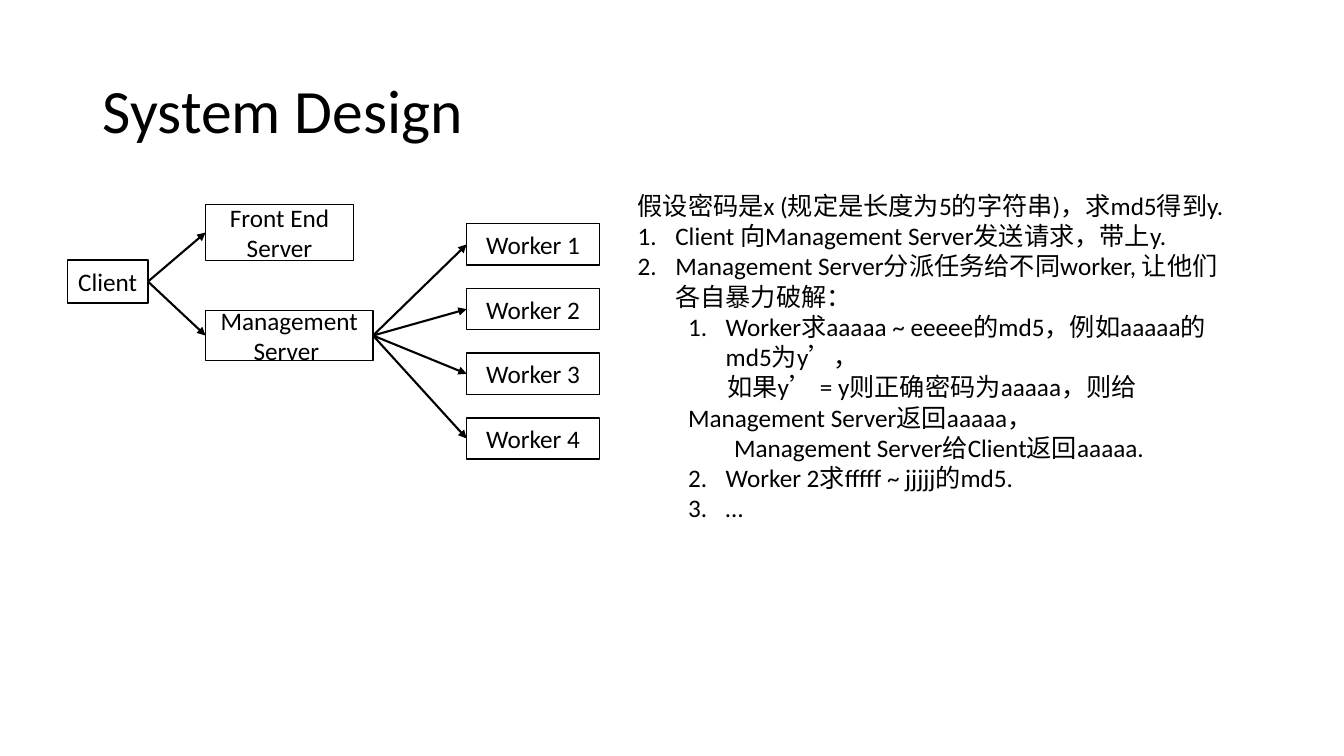
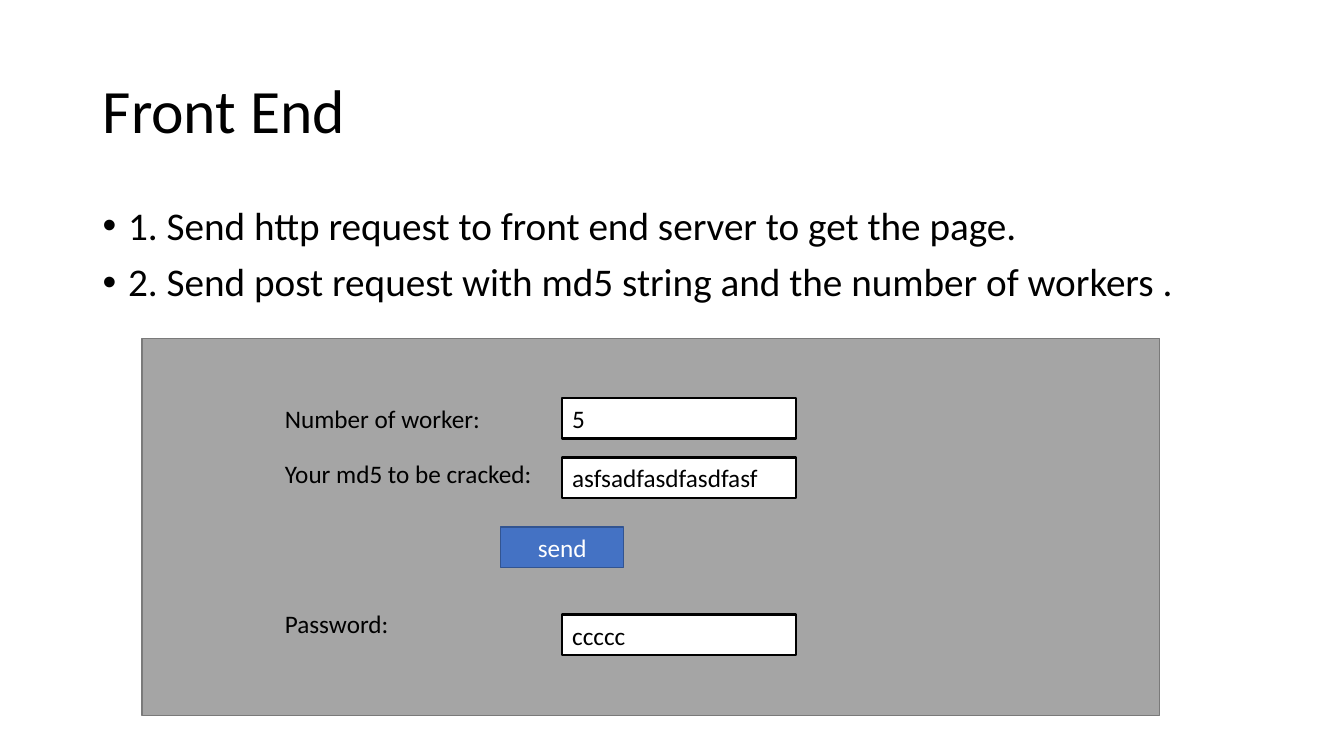
import pptx
import pptx.dml.color
import pptx.enum.shapes
import pptx.enum.text
import pptx.oxml.ns
import pptx.util
import lxml.etree

Cm = pptx.util.Cm
Pt = pptx.util.Pt
ALIGN = pptx.enum.text.PP_ALIGN
ANCHOR = pptx.enum.text.MSO_ANCHOR

FONT = "Calibri"
COLORS = {
    "ink": "000000",
    "paper": "FFFFFF",
    "panel": "A5A5A5",
    "panel_edge": "7A7A7A",
    "button": "4472C4",
    "button_edge": "325491",
}

WORKER_COUNT = 4
WORKER_TOP = 5.64
WORKER_STEP = 1.63
FIELD_HEIGHT = 1.02

NUMBERED, PLAIN = "numbered", "plain"
STEPS = [
    ("假设密码是x (规定是长度为5的字符串)，求md5得到y.", 0, PLAIN, 0, 0, 1),
    ("Client 向Management Server发送请求，带上y.", 0, NUMBERED, 0.95, -0.95, 1),
    ("Management Server分派任务给不同worker, 让他们各自暴力破解：", 0, NUMBERED, 0.95, -0.95, 1),
    ("Worker求aaaaa ~ eeeee的md5，例如aaaaa的md5为y’，", 1, NUMBERED, 2.22, -0.95, 1),
    ("如果y’ = y则正确密码为aaaaa，则给Management Server返回aaaaa，", 1, PLAIN, 1.27, 0.99, 1),
    ("Management Server给Client返回aaaaa.", 1, PLAIN, 1.27, 1.16, 1),
    ("Worker 2求fffff ~ jjjjj的md5.", 1, NUMBERED, 2.22, -0.95, 2),
    ("…", 1, NUMBERED, 2.22, -0.95, 2),
]

REQUESTS = [
    "1. Send http request to front end server to get the page.",
    "2. Send post request with md5 string and the number of workers .",
]

FORM_ROWS = [
    ("Number of worker:", 10.03, "5", 10.03),
    ("Your md5 to be cracked:", 11.43, "asfsadfasdfasdfasf", 11.53),
    ("Password:", 15.21, "ccccc", 15.49),
]


def rgb(name):
    return pptx.dml.color.RGBColor.from_string(COLORS[name])


def write(frame, text, size=18, color="ink", align=ALIGN.LEFT):
    frame.word_wrap = True
    frame.text = text
    for paragraph in frame.paragraphs:
        paragraph.alignment = align
        for run in paragraph.runs:
            run.font.name = FONT
            run.font.size = Pt(size)
            run.font.color.rgb = rgb(color)


def add_text(slide, text, left, top, width, height, size=18, anchor=ANCHOR.TOP):
    frame = slide.shapes.add_textbox(Cm(left), Cm(top), Cm(width), Cm(height)).text_frame
    frame.vertical_anchor = anchor
    write(frame, text, size)
    return frame


def add_box(slide, text, left, top, width, height, fill="paper", edge="ink",
            weight=1, color="ink", align=ALIGN.CENTER):
    box = slide.shapes.add_shape(pptx.enum.shapes.MSO_SHAPE.RECTANGLE,
                                 Cm(left), Cm(top), Cm(width), Cm(height))
    box.shadow.inherit = False
    box.fill.solid()
    box.fill.fore_color.rgb = rgb(fill)
    box.line.color.rgb = rgb(edge)
    box.line.width = Pt(weight)
    box.text_frame.vertical_anchor = ANCHOR.MIDDLE
    write(box.text_frame, text, color=color, align=align)
    return box


def add_arrow(slide, source, target):
    arrow = slide.shapes.add_connector(pptx.enum.shapes.MSO_CONNECTOR.STRAIGHT, 0, 0, 0, 0)
    arrow.begin_connect(source, 3)
    arrow.end_connect(target, 1)
    arrow.line.color.rgb = rgb("ink")
    arrow.line.width = Pt(1.5)
    qn = pptx.oxml.ns.qn
    lxml.etree.SubElement(arrow.line._get_or_add_ln(), qn("a:tailEnd"), type="triangle")
    lxml.etree.SubElement(arrow._element.spPr, qn("a:effectLst"))


def indent(paragraph, margin, first_line):
    properties = paragraph._p.get_or_add_pPr()
    properties.set("marL", str(Cm(margin)))
    properties.set("indent", str(Cm(first_line)))
    return properties


def add_bullet(properties, tag, **attributes):
    lxml.etree.SubElement(properties, pptx.oxml.ns.qn("a:buFont"), typeface="Arial" if tag == "buChar" else "+mj-lt")
    lxml.etree.SubElement(properties, pptx.oxml.ns.qn("a:" + tag), **attributes)


def add_titled_slide(deck, title):
    slide = deck.slides.add_slide(deck.slide_layouts[6])
    frame = add_text(slide, title, 2.34, 1.02, 29.21, 3.68, size=44, anchor=ANCHOR.MIDDLE)
    frame.paragraphs[0].line_spacing = 0.9
    return slide


def add_steps(slide):
    frame = add_text(slide, "\n".join(step[0] for step in STEPS), 15.82, 4.67, 15.37, 8.71)
    for paragraph, (_, level, style, margin, first_line, start) in zip(frame.paragraphs, STEPS):
        paragraph.level = level
        properties = indent(paragraph, margin, first_line)
        if style == NUMBERED:
            add_bullet(properties, "buAutoNum", type="arabicPeriod", startAt=str(start))


def add_requests(slide):
    frame = add_text(slide, "\n".join(REQUESTS), 2.34, 5.08, 29.21, 12.09, size=28)
    for paragraph in frame.paragraphs:
        paragraph.line_spacing = 0.9
        paragraph.space_before = Pt(10)
        add_bullet(indent(paragraph, 0.64, -0.64), "buChar", char="•")


def build_system_design(deck):
    slide = add_titled_slide(deck, "System Design")
    client = add_box(slide, "Client", 1.7, 6.55, 2.03, 1.09)
    front_end = add_box(slide, "Front End Server", 5.18, 5.16, 3.73, 1.4)
    management = add_box(slide, "Management\nServer ", 5.18, 7.82, 4.22, 1.27)
    for server in (front_end, management):
        add_arrow(slide, client, server)
    for index in range(WORKER_COUNT):
        worker = add_box(slide, f"Worker {index + 1}", 11.76,
                         WORKER_TOP + index * WORKER_STEP, 3.35, 1.04)
        add_arrow(slide, management, worker)
    add_steps(slide)


def build_front_end(deck):
    slide = add_titled_slide(deck, "Front End")
    add_box(slide, "", 3.58, 8.53, 25.65, 9.5, fill="panel", edge="panel_edge")
    add_requests(slide)
    for label, label_top, value, field_top in FORM_ROWS:
        add_text(slide, label, 6.93, label_top, 6.86, FIELD_HEIGHT)
        add_box(slide, value, 14.17, field_top, 5.89, FIELD_HEIGHT,
                weight=1.75, align=ALIGN.LEFT)
    add_box(slide, "send", 12.62, 13.28, 3.1, FIELD_HEIGHT,
            fill="button", edge="button_edge", color="paper")


def main():
    deck = pptx.Presentation()
    deck.slide_width = Cm(33.87)
    deck.slide_height = Cm(19.05)
    build_system_design(deck)
    build_front_end(deck)
    deck.save("out.pptx")


if __name__ == "__main__":
    main()
